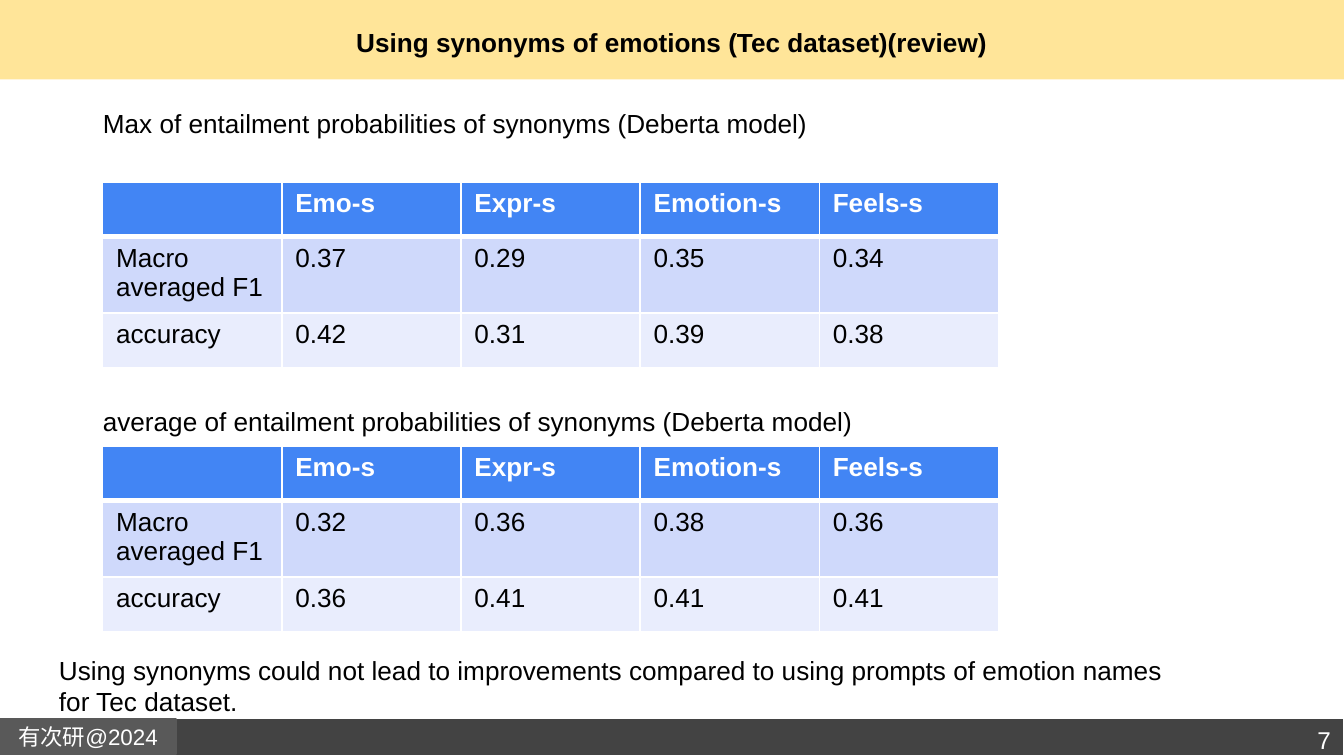
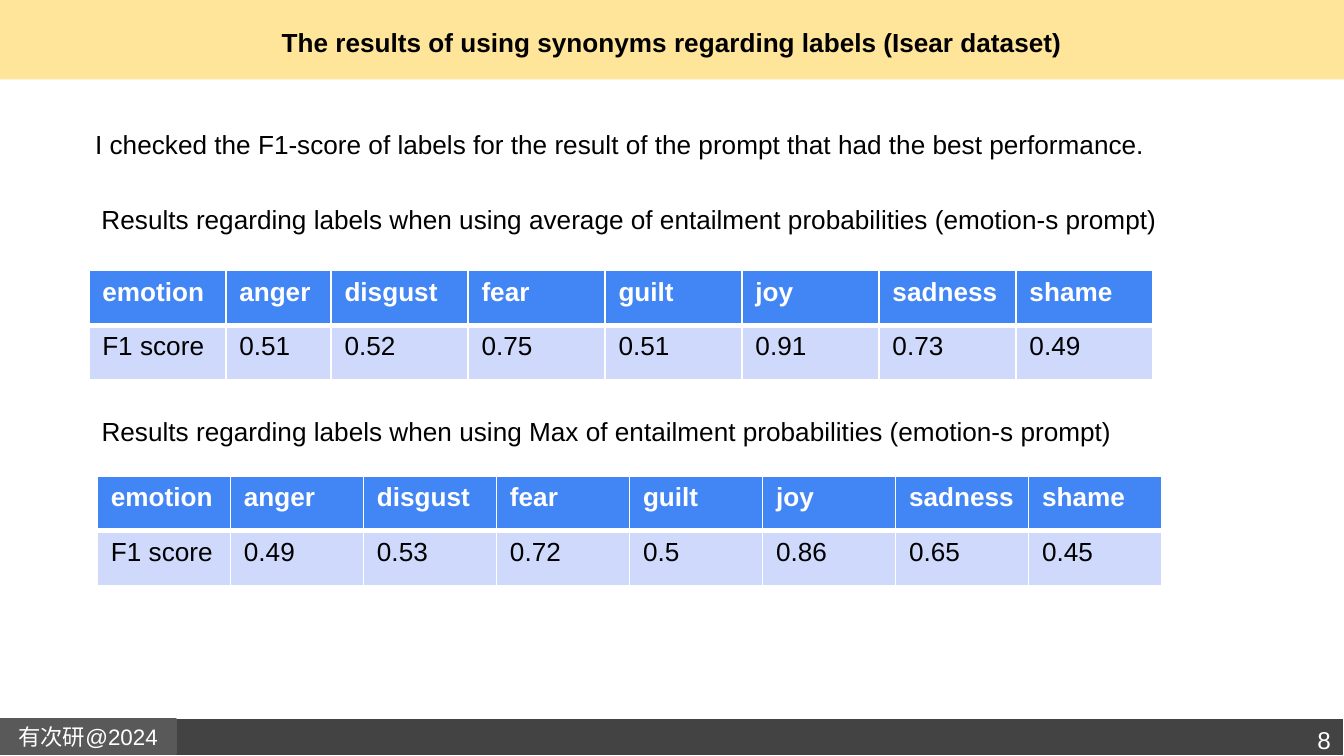
import pptx
import pptx.dml.color
import pptx.enum.shapes
import pptx.enum.text
import pptx.oxml
import pptx.oxml.ns
import pptx.util

Pt = pptx.util.Pt
ALIGN = pptx.enum.text.PP_ALIGN
ANCHOR = pptx.enum.text.MSO_ANCHOR

FONT = "Arial"
WHITE, BLACK = "FFFFFF", "000000"
TITLE_BAND = "FFE599"
FOOTER_BAND, FOOTER_LABEL = "434343", "595959"
HEADER_FILL = "4285F4"
BODY_FILLS = ("CFD9FB", "E9EDFD")
SLIDE_WIDTH, SLIDE_HEIGHT = 720, 405
BODY_SIZE = 14
ROW_HEIGHT, TWO_LINE_ROW_HEIGHT = 29.3, 39.4

PROMPTS = ["", "Emo-s", "Expr-s", "Emotion-s", "Feels-s"]
EMOTIONS = ["emotion", "anger", "disgust", "fear", "guilt", "joy", "sadness", "shame"]


def rgb(hex_color):
    return pptx.dml.color.RGBColor.from_string(hex_color)


def write(paragraph, text, size=BODY_SIZE, color=BLACK, bold=False):
    run = paragraph.add_run()
    run.text = text
    run.font.name = FONT
    run.font.size = Pt(size)
    run.font.bold = bold
    run.font.color.rgb = rgb(color)


def add_band(slide, left, top, width, height, fill, outline=None):
    band = slide.shapes.add_shape(
        pptx.enum.shapes.MSO_SHAPE.RECTANGLE, Pt(left), Pt(top), Pt(width), Pt(height))
    band.shadow.inherit = False
    band.fill.solid()
    band.fill.fore_color.rgb = rgb(fill)
    if outline:
        band.line.color.rgb = rgb(outline)
        band.line.width = Pt(0.75)
    else:
        band.line.fill.background()
    return band


def set_frame(frame, anchor=ANCHOR.TOP, inset=3.6):
    """Wrap the text, with side margins of 7.2 pt and the given top and bottom inset."""
    frame.word_wrap = True
    frame.vertical_anchor = anchor
    frame.margin_left = frame.margin_right = Pt(7.2)
    frame.margin_top = frame.margin_bottom = Pt(inset)


def add_text(slide, left, top, width, height, text, align=ALIGN.LEFT,
             anchor=ANCHOR.TOP, inset=3.6, **style):
    box = slide.shapes.add_textbox(Pt(left), Pt(top), Pt(width), Pt(height))
    set_frame(box.text_frame, anchor, inset)
    paragraph = box.text_frame.paragraphs[0]
    paragraph.alignment = align
    write(paragraph, text, **style)


def add_cell_borders(cell, top, bottom):
    """Draw white borders: 1 pt at the sides, given widths above and below."""
    properties = cell._tc.get_or_add_tcPr()
    for side, width in (("L", 1), ("R", 1), ("T", top), ("B", bottom)):
        properties.append(pptx.oxml.parse_xml(
            f'<a:ln{side} {pptx.oxml.ns.nsdecls("a")} w="{Pt(width)}">'
            f'<a:solidFill><a:srgbClr val="{WHITE}"/></a:solidFill></a:ln{side}>'))


def add_score_table(slide, left, top, column_widths, row_heights, rows):
    table = slide.shapes.add_table(
        len(rows), len(column_widths), Pt(left), Pt(top),
        Pt(sum(column_widths)), Pt(sum(row_heights))).table
    table.horz_banding = False
    for column, width in zip(table.columns, column_widths):
        column.width = Pt(width)
    for row, height in zip(table.rows, row_heights):
        row.height = Pt(height)
    for i, texts in enumerate(rows):
        header = i == 0
        fill = HEADER_FILL if header else BODY_FILLS[(i - 1) % 2]
        for j, text in enumerate(texts):
            cell = table.cell(i, j)
            add_cell_borders(cell, top=3 if i == 1 else 1, bottom=3 if header else 1)
            cell.fill.solid()
            cell.fill.fore_color.rgb = rgb(fill)
            if text:
                write(cell.text_frame.paragraphs[0], text,
                      color=WHITE if header else BLACK, bold=header)


def add_prompt_table(slide, top, f1_scores, accuracies):
    add_score_table(
        slide, 55, top, [96] * len(PROMPTS),
        [ROW_HEIGHT, TWO_LINE_ROW_HEIGHT, ROW_HEIGHT],
        [PROMPTS, ["Macro averaged F1"] + f1_scores, ["accuracy"] + accuracies])


def add_emotion_table(slide, left, top, column_widths, scores):
    add_score_table(slide, left, top, column_widths, [ROW_HEIGHT] * 2,
                    [EMOTIONS, ["F1 score"] + scores])


def add_content_slide(deck, title, number):
    slide = deck.slides.add_slide(deck.slide_layouts[6])
    add_band(slide, 0, 0, SLIDE_WIDTH, 42.5, TITLE_BAND)
    add_band(slide, 0, 384.8, SLIDE_WIDTH, 20.2, FOOTER_BAND, WHITE)
    label = add_band(slide, 0, 385.2, 94.3, 18.8, FOOTER_LABEL, FOOTER_LABEL)
    set_frame(label.text_frame, ANCHOR.MIDDLE, 7.2)
    label.text_frame.paragraphs[0].alignment = ALIGN.CENTER
    write(label.text_frame.paragraphs[0], "有次研@2024", 12, WHITE)
    add_text(slide, 24.5, 0, 671, 45.4, title, ALIGN.CENTER, ANCHOR.MIDDLE, 7.2, bold=True)
    add_text(slide, 644.4, 381.6, 75.6, 26.6, str(number), ALIGN.RIGHT,
             inset=7.2, size=13, color=WHITE)
    return slide


def add_tec_slide(deck):
    slide = add_content_slide(deck, "Using synonyms of emotions (Tec dataset)(review)", 7)
    add_prompt_table(slide, 97.5, ["0.37", "0.29", "0.35", "0.34"],
                     ["0.42", "0.31", "0.39", "0.38"])
    add_text(slide, 48, 54, 423.4, 41,
             "Max of entailment probabilities of synonyms (Deberta model)")
    add_prompt_table(slide, 239, ["0.32", "0.36", "0.38", "0.36"],
                     ["0.36", "0.41", "0.41", "0.41"])
    add_text(slide, 48, 213.8, 423.4, 58.3,
             "average of entailment probabilities of synonyms (Deberta model)")
    add_text(slide, 24.5, 347, 625.7, 41,
             "Using synonyms could not lead to improvements compared to using "
             "prompts of emotion names for Tec dataset.")


def add_isear_slide(deck):
    slide = add_content_slide(
        deck, "The results of using synonyms regarding labels (Isear dataset)", 8)
    add_emotion_table(slide, 47.6, 145, [73.4, 56.4] + [73.4] * 6,
                      ["0.51", "0.52", "0.75", "0.51", "0.91", "0.73", "0.49"])
    add_text(slide, 47.3, 105.3, 604.8, 24.5,
             "Results regarding labels when using average of entailment "
             "probabilities (emotion-s prompt)")
    add_emotion_table(slide, 52.2, 255, [71.28] * len(EMOTIONS),
                      ["0.49", "0.53", "0.72", "0.5", "0.86", "0.65", "0.45"])
    add_text(slide, 47.3, 218.8, 574.6, 24.5,
             "Results regarding labels when using Max of entailment "
             "probabilities (emotion-s prompt)")
    add_text(slide, 43.9, 65.5, 599.8, 24.5,
             "I checked the F1-score of labels for the result of the prompt "
             "that had the best performance.")


def main():
    deck = pptx.Presentation()
    deck.slide_width, deck.slide_height = Pt(SLIDE_WIDTH), Pt(SLIDE_HEIGHT)
    add_tec_slide(deck)
    add_isear_slide(deck)
    deck.save("out.pptx")


if __name__ == "__main__":
    main()
